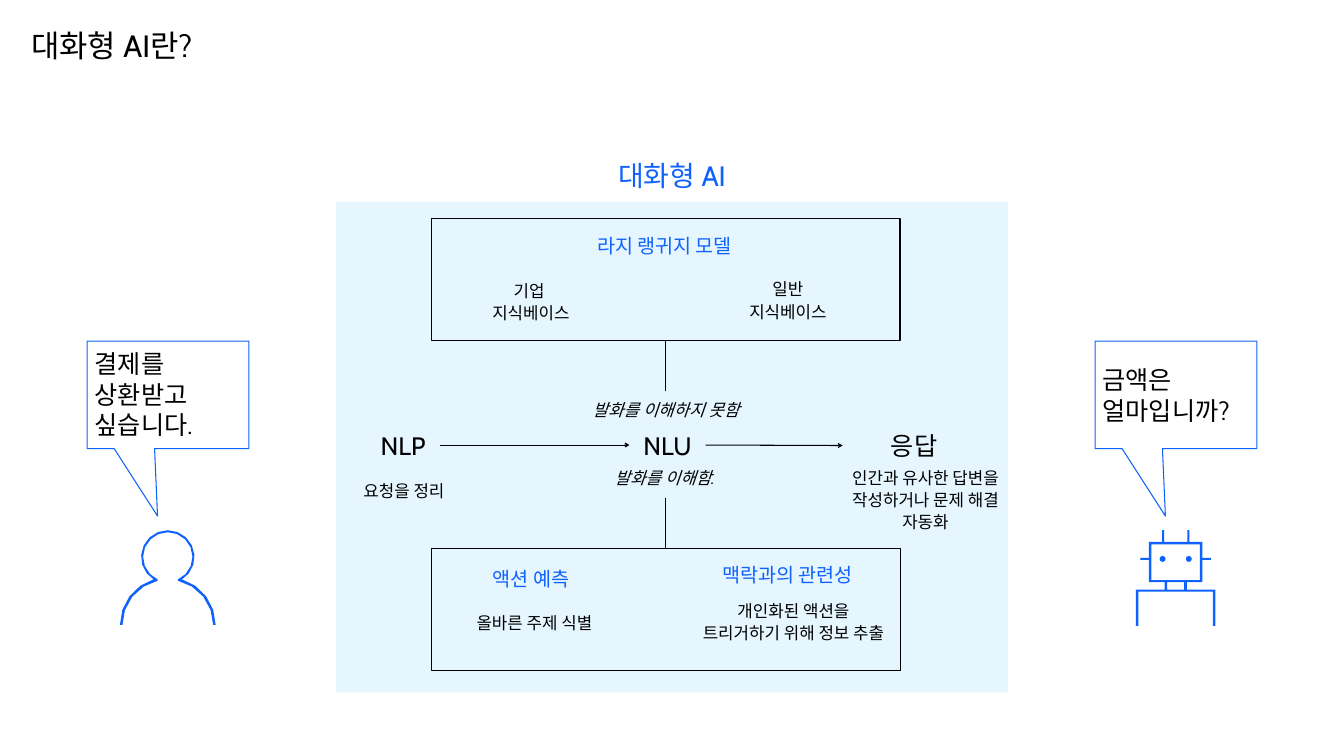
"""Build a slide that explains how conversational AI works."""
from math import cos, radians, sin

from lxml.etree import SubElement
from pptx import Presentation
from pptx.dml.color import RGBColor
from pptx.enum.shapes import MSO_CONNECTOR as Connector, MSO_SHAPE as Shape
from pptx.enum.text import MSO_ANCHOR as Anchor, MSO_AUTO_SIZE as AutoSize, PP_ALIGN as Align
from pptx.oxml.ns import qn
from pptx.util import Inches, Pt

BLACK = RGBColor(0x00, 0x00, 0x00)
BLUE = RGBColor(0x0F, 0x62, 0xFE)
PALE_BLUE = RGBColor(0xE5, 0xF6, 0xFF)
FONT = "Cabin"
PADDING = 0.27


def write_text(shape, text, size, color, align, inset, spacing=None, italic=False):
    """Fill a shape with evenly styled paragraphs."""
    frame = shape.text_frame
    frame.margin_left = frame.margin_right = Inches(inset)
    frame.margin_top = frame.margin_bottom = Inches(inset)
    frame.text = text
    for para in frame.paragraphs:
        para.alignment = align
        para.line_spacing = spacing
        para.font.name = FONT
        para.font.size = Pt(size)
        para.font.italic = italic
        para.font.color.rgb = color
        SubElement(para._p.pPr.find(qn("a:defRPr")), qn("a:ea"), typeface=FONT)


def add_text(page, area, text, size, color=BLACK, inset=0.0, align=Align.CENTER,
             wrap=True, grow=True, **style):
    """Add a text box and return it."""
    box = page.shapes.add_textbox(*map(Inches, area))
    write_text(box, text, size, color, align, inset, **style)
    box.text_frame.word_wrap = wrap
    box.text_frame.auto_size = AutoSize.SHAPE_TO_FIT_TEXT if grow else AutoSize.NONE
    return box


def add_heading(page, area, text, wrap=False):
    """Add a blue heading inside a panel."""
    add_text(page, area, text, 28, BLUE, wrap=wrap)


def add_note(page, area, text, inset=0.0, italic=False):
    """Add a small explanatory text."""
    add_text(page, area, text, 24, inset=inset, spacing=1.1, italic=italic)


def add_outline(page, kind, area, color, adjustments):
    """Add an unfilled preset shape with a thin line."""
    shape = page.shapes.add_shape(kind, *map(Inches, area))
    shape.shadow.inherit = False
    shape.fill.background()
    shape.line.color.rgb = color
    shape.line.width = Pt(1.5)
    for index, value in enumerate(adjustments):
        shape.adjustments[index] = value
    return shape


def add_panel(page, top, rotation=0):
    """Add a framed panel with a stem towards the middle row."""
    panel = add_outline(page, Shape.UP_ARROW_CALLOUT, (8.57, top, 9.29, 3.42),
                        BLACK, (0, 0, 0.25, 0.709))
    panel.rotation = rotation


def add_speech(page, left, text, anchor):
    """Add a speech bubble."""
    bubble = add_outline(page, Shape.RECTANGULAR_CALLOUT, (left, 6.77, 3.21, 2.13),
                         BLUE, (-0.065, 1.129))
    write_text(bubble, text, 36, BLACK, Align.LEFT, 0.15)
    bubble.text_frame.word_wrap = True
    bubble.text_frame.vertical_anchor = anchor


def add_arrow(page, source, target):
    """Join the right side of one step to the left side of the next."""
    arrow = page.shapes.add_connector(Connector.STRAIGHT, 0, 0, 0, 0)
    arrow.begin_connect(source, 3)
    arrow.end_connect(target, 1)
    arrow.line.color.rgb = BLACK
    arrow.line.width = Pt(1.5)
    SubElement(arrow.line._get_or_add_ln(), qn("a:tailEnd"), type="arrow")
    SubElement(arrow._element.spPr, qn("a:effectLst"))


def add_icon(page, contours):
    """Add one blue freeform made of closed contours."""
    builder = None
    for contour in contours:
        points = [(Inches(x), Inches(y)) for x, y in contour]
        if builder is None:
            builder = page.shapes.build_freeform(*points[0])
        else:
            builder.move_to(*points[0])
        builder.add_line_segments(points[1:], close=True)
    icon = builder.convert_to_shape()
    icon.shadow.inherit = False
    icon.fill.solid()
    icon.fill.fore_color.rgb = BLUE
    icon.line.fill.background()


def arc(center, radius, start, end, steps):
    """Return points along a circular arc, with angles in degrees."""
    angles = [radians(start + (end - start) * step / steps) for step in range(steps + 1)]
    return [(center[0] + radius * cos(a), center[1] + radius * sin(a)) for a in angles]


def rectangle(left, top, right, bottom):
    """Return the corners of a rectangle."""
    return [(left, top), (right, top), (right, bottom), (left, bottom)]


def add_person(page):
    """Draw the user as a head and shoulders."""
    head, body = (3.33, 11.05), (3.33, 12.4)
    add_icon(page, [
        arc(body, 0.9, 0, -77, 4) + arc(head, 0.49, 66, -246, 14)
        + arc(body, 0.9, -103, -180, 4) + arc(body, 0.95, -180, -106.5, 4)
        + arc(head, 0.53, 120, 420, 14) + arc(body, 0.95, -73.5, 0, 4)])


def add_robot(page):
    """Draw the assistant as a symmetric robot."""
    middle = 23.33
    half = [(0.23, 10.75), (0.23, 10.52), (0.27, 10.52), (0.27, 10.75), (0.53, 10.75),
            (0.53, 11.07), (0.7, 11.07), (0.7, 11.11), (0.53, 11.11), (0.53, 11.55),
            (0.22, 11.55), (0.22, 11.7), (0.79, 11.7), (0.79, 12.42), (0.74, 12.42),
            (0.74, 11.74)]
    outline = ([(middle + x, y) for x, y in half]
               + [(middle - x, y) for x, y in reversed(half)])
    eyes = [arc((middle + side * 0.26, 11.09), 0.06, 0, 315, 7) for side in (-1, 1)]
    face = rectangle(middle - 0.48, 10.8, middle + 0.48, 11.51)
    neck = rectangle(middle - 0.17, 11.55, middle + 0.17, 11.7)
    add_icon(page, [outline, face, neck, *eyes])


def add_steps(page):
    """Add the middle row of steps with its arrows and notes."""
    steps = [add_text(page, area, text, 36, inset=PADDING, wrap=wrap)
             for area, text, wrap in (
                 ((7.26, 8.26, 1.48, 1.14), "NLP", False),
                 ((12.49, 8.26, 1.51, 1.14), "NLU", False),
                 ((16.72, 8.26, 2.84, 1.16), "응답", True))]
    for area, text, italic in (
            ((6.62, 9.27, 2.79, 0.95), "요청을 정리", False),
            ((10.93, 9.02, 4.52, 0.96), "발화를 이해함.", True),
            ((16.47, 8.97, 3.79, 1.85), "인간과 유사한 답변을 작성하거나 문제 해결 자동화", False),
            ((10.08, 7.67, 6.27, 0.95), "발화를 이해하지 못함", True)):
        add_note(page, area, text, PADDING, italic)
    for source, target in zip(steps, steps[1:]):
        add_arrow(page, source, target)


def main():
    """Build and save the deck."""
    deck = Presentation()
    deck.slide_width, deck.slide_height = Inches(26.67), Inches(15)
    page = deck.slides.add_slide(deck.slide_layouts[6])

    backdrop = page.shapes.add_shape(Shape.RECTANGLE, *map(Inches, (6.67, 4, 13.33, 9.74)))
    backdrop.shadow.inherit = False
    backdrop.fill.solid()
    backdrop.fill.fore_color.rgb = PALE_BLUE
    backdrop.line.fill.background()

    add_panel(page, 9.89)
    add_text(page, (7.32, 3.09, 12.03, 0.77), "대화형 AI", 40, BLUE, 0.05)
    add_steps(page)
    add_heading(page, (9.71, 11.25, 1.66, 0.47), "액션 예측")
    add_note(page, (9.21, 12.12, 2.79, 0.42), "올바른 주제 식별")
    add_heading(page, (14.21, 11.17, 2.84, 0.47), "맥락과의 관련성")
    add_note(page, (13.87, 11.88, 3.75, 1.3), "개인화된 액션을 트리거하기 위해 정보 추출")
    add_person(page)
    add_text(page, (0.62, 0.54, 8.28, 1.33), "대화형 AI란?", 44, align=Align.LEFT, grow=False)
    add_speech(page, 1.73, "결제를 상환받고 싶습니다.", Anchor.TOP)
    add_robot(page)
    add_speech(page, 21.73, "금액은 얼마입니까?", Anchor.MIDDLE)
    add_panel(page, 4.33, 180)
    add_heading(page, (9.65, 4.65, 7.07, 0.47), "라지 랭귀지 모델", wrap=True)
    add_note(page, (9.14, 5.53, 2.79, 0.86), "기업 \v지식베이스")
    add_note(page, (13.86, 5.5, 3.55, 0.86), "일반\n지식베이스")
    deck.save("out.pptx")


if __name__ == "__main__":
    main()
